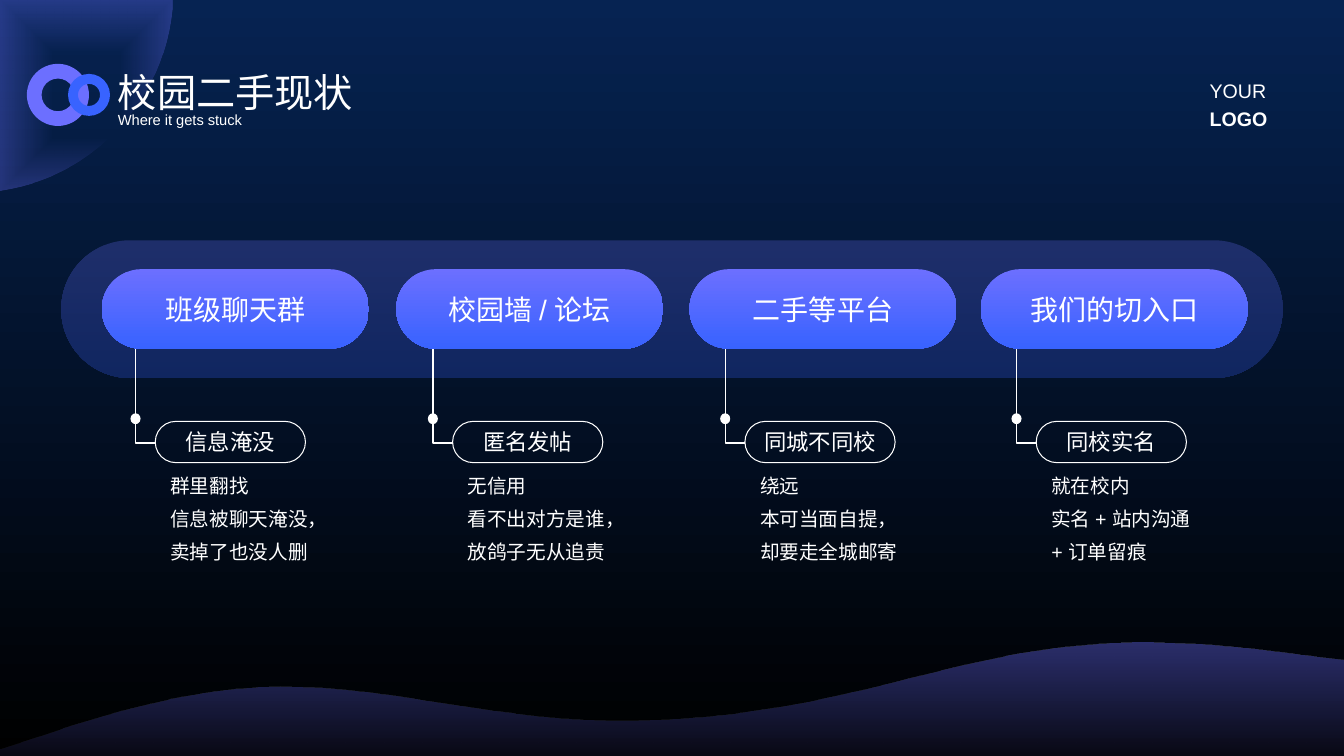
from dataclasses import dataclass

from pptx import Presentation
from pptx import util as u
from pptx.dml.color import RGBColor
from pptx.enum import shapes, text
from pptx.oxml import ns, xmlchemy
from pptx.oxml.xmlchemy import OxmlElement

# Grid: 160 columns by 90 rows, twelve to the inch
COLS, ROWS = 160, 90
CELL = u.Inches(1) / 12

WHITE = RGBColor(0xFF, 0xFF, 0xFF)
BLACK = RGBColor(0, 0, 0)
NAVY = RGBColor(0x06, 0x23, 0x52)
VIOLET = RGBColor(0x6C, 0x6F, 0xFF)
BLUE = RGBColor(0x38, 0x63, 0xFF)
FONT = "Arial"

Point = tuple[float, float]
Kind = shapes.MSO_SHAPE


@dataclass(frozen=True)
class Stop:
    color: RGBColor
    alpha: int = 100
    place: float = 0


@dataclass(frozen=True)
class Box:
    x: float
    y: float
    w: float
    h: float


@dataclass(frozen=True)
class Issue:
    pill_x: float
    tag_x: float
    name: str
    tag: str
    lines: tuple[str, ...]


ISSUES = (
    Issue(12.12, 18.48, "班级聊天群", "信息淹没",
          ("群里翻找", "信息被聊天淹没，", "卖掉了也没人删")),
    Issue(47.16, 53.88, "校园墙 / 论坛", "匿名发帖",
          ("无信用", "看不出对方是谁，", "放鸽子无从追责")),
    Issue(82.08, 88.68, "二手等平台", "同城不同校",
          ("绕远", "本可当面自提，", "却要走全城邮寄")),
    Issue(116.76, 123.36, "我们的切入口", "同校实名",
          ("就在校内", "实名 + 站内沟通", "+ 订单留痕")),
)

# Each curve: two handles and an end point
WAVE = (
    ((149.28, 77.28), (138.72, 75.84), (128, 76.92)),
    ((117.36, 77.88), (106.68, 81.48), (96, 83.52)),
    ((85.32, 85.56), (74.64, 86.28), (64, 85.2)),
    ((53.28, 84.12), (42.72, 81.48), (32, 81.72)),
    ((21.36, 82.08), (10.68, 85.56), (5.28, 87.36)),
)
CORNER = (((19.44, 11.76), (11.52, 20.4), (1.32, 22.44)),)


def emu(n: float) -> u.Emu:
    return u.Emu(round(n * CELL))


def frame(box: Box) -> tuple[u.Emu, ...]:
    return emu(box.x), emu(box.y), emu(box.w), emu(box.h)


def trace(start: Point, curves: tuple, steps: int = 24) -> list[Point]:
    """Turn cubic curves into a run of points."""
    pts = [start]
    for b, c, d in curves:
        a = pts[-1]
        for i in range(1, steps + 1):
            t = i / steps
            s = 1 - t
            pts.append(tuple(
                s**3 * a[k] + 3 * s * s * t * b[k] + 3 * s * t * t * c[k] + t**3 * d[k]
                for k in (0, 1)))
    return pts


def shade(fill, root: xmlchemy.BaseOxmlElement, first: Stop, last: Stop) -> None:
    """Fill from top to bottom with two stops."""
    fill.gradient()
    fill.gradient_angle = 270
    for slot, stop in zip(fill.gradient_stops, (first, last)):
        slot.color.rgb = stop.color
        slot.position = stop.place
    tones = root.find(".//" + ns.qn("a:gsLst")).iter(ns.qn("a:srgbClr"))
    for tone, stop in zip(tones, (first, last)):
        if stop.alpha < 100:
            mark = OxmlElement("a:alpha")
            mark.set("val", str(stop.alpha * 1000))
            tone.append(mark)


def center(root: xmlchemy.BaseOxmlElement) -> None:
    """Spread a gradient outward from the middle of its shape."""
    lin = root.find(".//" + ns.qn("a:lin"))
    ring = OxmlElement("a:path")
    ring.set("path", "shape")
    rect = OxmlElement("a:fillToRect")
    for side in "ltrb":
        rect.set(side, "50000")
    ring.append(rect)
    lin.getparent().replace(lin, ring)


def form(slide, kind: Kind, box: Box, color: RGBColor | None = None,
         adj: float | None = None):
    item = slide.shapes.add_shape(kind, *frame(box))
    item.shadow.inherit = False
    item.line.fill.background()
    if color is None:
        item.fill.background()
    else:
        item.fill.solid()
        item.fill.fore_color.rgb = color
    if adj is not None:
        item.adjustments[0] = adj
    return item


def blob(slide, pts: list[Point], first: Stop, last: Stop):
    (x, y), *rest = [(emu(px), emu(py)) for px, py in pts]
    pen = slide.shapes.build_freeform(x, y)
    pen.add_line_segments(rest, close=True)
    item = pen.convert_to_shape()
    item.shadow.inherit = False
    item.line.fill.background()
    shade(item.fill, item._element, first, last)
    return item


def write(item, lines: tuple[str, ...], size: float, gap: float = 1,
          align=text.PP_ALIGN.LEFT, anchor=text.MSO_ANCHOR.MIDDLE,
          bold: tuple[int, ...] = ()) -> None:
    body = item.text_frame
    body.word_wrap = True
    body.vertical_anchor = anchor
    body.margin_left = body.margin_right = body.margin_top = body.margin_bottom = 0
    for i, line in enumerate(lines):
        para = body.add_paragraph() if i else body.paragraphs[0]
        para.alignment = align
        para.line_spacing = gap
        run = para.add_run()
        run.text = line
        run.font.name = FONT
        run.font.size = u.Pt(size)
        run.font.bold = i in bold
        run.font.color.rgb = WHITE


def elbow(slide, box: Box) -> None:
    """Run left from the tag, then up to the pill."""
    x, y, w, h = frame(box)
    wire = slide.shapes.add_connector(shapes.MSO_CONNECTOR.ELBOW, x, y, x + w, y + h)
    wire.line.color.rgb = WHITE
    wire.line.width = u.Pt(1)
    props = wire._element.spPr
    props.find(ns.qn("a:prstGeom")).set("prst", "bentConnector2")
    props.find(ns.qn("a:xfrm")).set("rot", "10800000")
    props.append(OxmlElement("a:effectLst"))


def column(slide, issue: Issue) -> None:
    mid = text.PP_ALIGN.CENTER
    pill = form(slide, Kind.ROUNDED_RECTANGLE, Box(issue.pill_x, 32.04, 31.8, 9.48), adj=0.5)
    shade(pill.fill, pill._element, Stop(VIOLET), Stop(BLUE, place=1))
    write(pill, (issue.name,), 20, align=mid)

    tag = form(slide, Kind.ROUNDED_RECTANGLE, Box(issue.tag_x, 50.16, 17.88, 4.92), adj=0.5)
    tag.line.color.rgb = WHITE
    tag.line.width = u.Pt(0.75)
    write(tag, (issue.tag,), 16, align=mid)

    stem = issue.tag_x - 2.34
    elbow(slide, Box(stem, 41.52, 2.34, 11.22))
    form(slide, Kind.OVAL, Box(stem - 0.6, 49.2, 1.2, 1.3), WHITE)

    note = slide.shapes.add_textbox(*frame(Box(issue.tag_x + 1.8, 55.32, 24.1, 15.8)))
    write(note, issue.lines, 14, gap=1.4, anchor=text.MSO_ANCHOR.TOP)


def main() -> None:
    deck = Presentation()
    deck.slide_width, deck.slide_height = emu(COLS), emu(ROWS)
    slide = deck.slides.add_slide(deck.slide_layouts[6])

    # Backdrop
    shade(slide.background.fill, slide._element, Stop(NAVY), Stop(BLACK, place=1))
    edge = trace((20.52, 1.2), CORNER)
    corner = blob(slide, [(0, 0), (20.52, 0), *edge, (0, 22.68)],
                  Stop(VIOLET, 0, 0.39), Stop(VIOLET, 31, 1))
    center(corner._element)
    crest = trace((154.68, 78), WAVE)
    blob(slide, [(COLS, 78.6), *crest, (0, 89.04), (0, ROWS), (COLS, ROWS)],
         Stop(VIOLET, 40), Stop(VIOLET, 8, 1))

    # Heading
    form(slide, Kind.DONUT, Box(3.2, 7.6, 7.4, 7.4), VIOLET, 0.237)
    form(slide, Kind.DONUT, Box(8.1, 8.8, 5, 5), BLUE, 0.237)
    title = slide.shapes.add_textbox(*frame(Box(14.04, 8.16, 37.2, 5.64)))
    write(title, ("校园二手现状",), 28)
    under = slide.shapes.add_textbox(*frame(Box(14.04, 13.2, 37.2, 2.16)))
    write(under, ("Where it gets stuck",), 10.5)
    sign = slide.shapes.add_textbox(*frame(Box(144, 9, 9, 6.4)))
    write(sign, ("YOUR", "LOGO"), 14, gap=1.2, bold=(1,))

    # Four columns on one band
    band = form(slide, Kind.ROUNDED_RECTANGLE, Box(7.3, 28.6, 145.4, 16.4), adj=0.5)
    shade(band.fill, band._element, Stop(VIOLET, 25), Stop(BLUE, 25, 1))
    for issue in ISSUES:
        column(slide, issue)

    deck.save("out.pptx")


if __name__ == "__main__":
    main()
